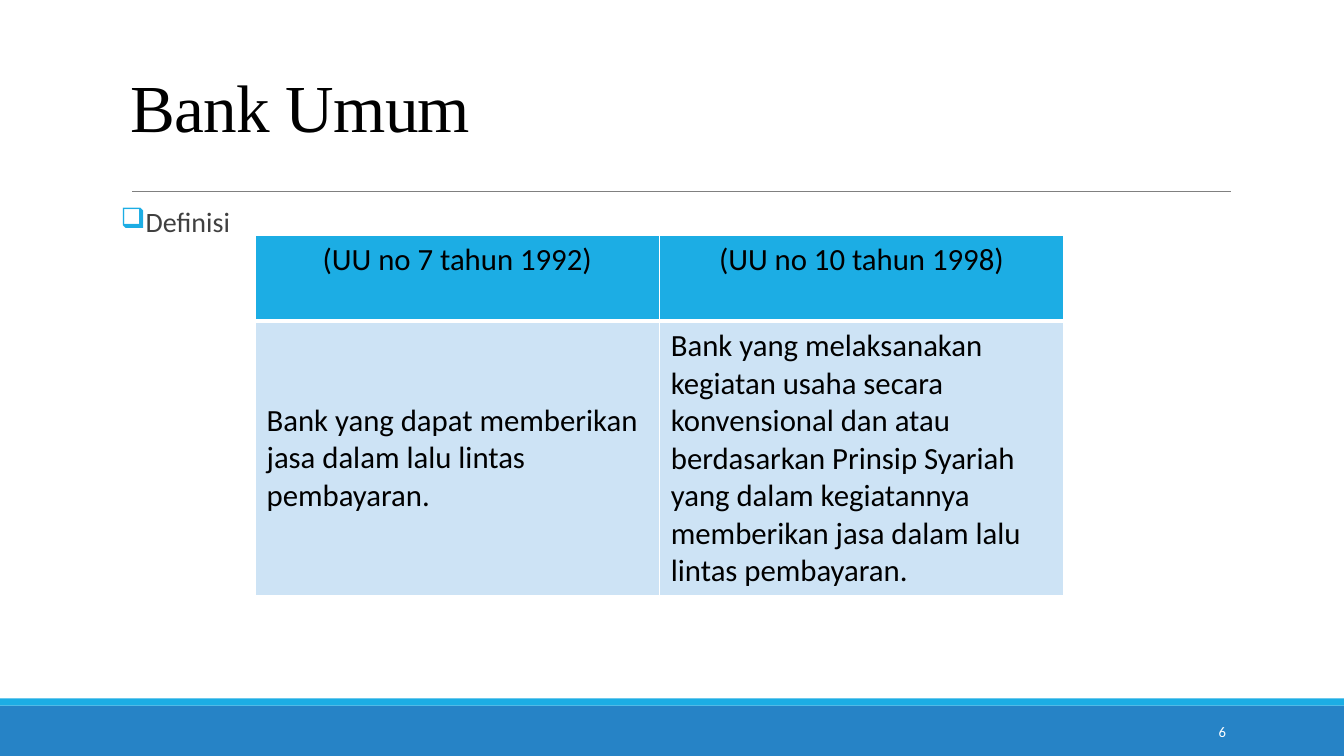
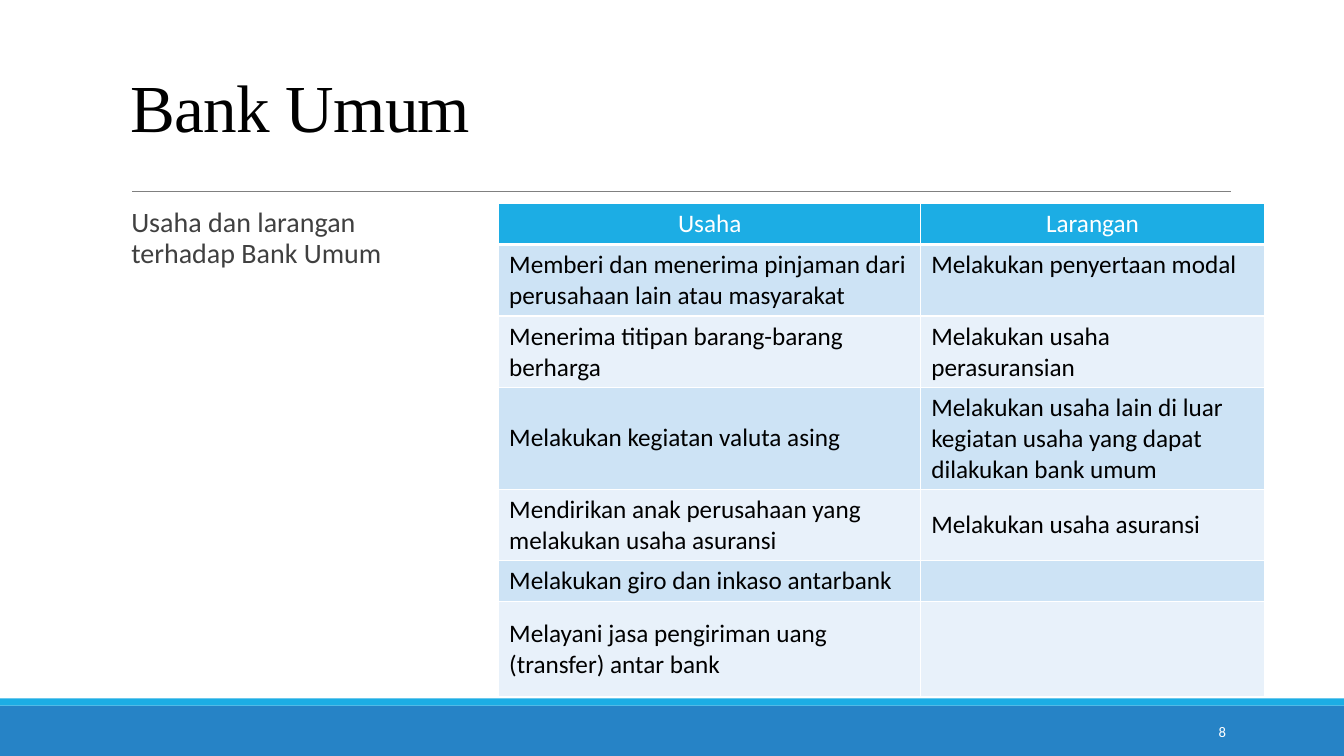
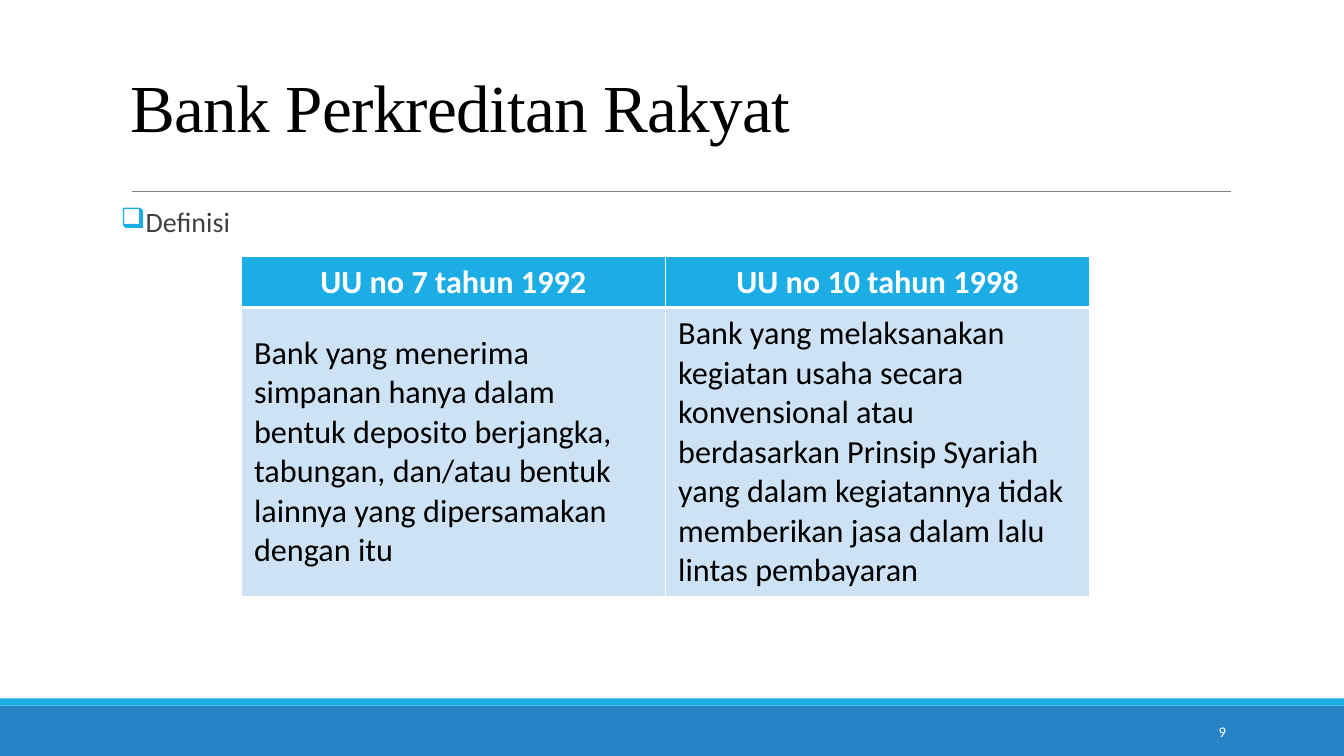
import lxml.etree
import pptx
import pptx.dml.color
import pptx.enum.shapes
import pptx.enum.text
import pptx.oxml.ns
import pptx.util

ALIGN = pptx.enum.text.PP_ALIGN
ANCHOR = pptx.enum.text.MSO_ANCHOR
Pt = pptx.util.Pt

# Shared style
SCALE = 9525  # EMU in one px
WIDE, HIGH = 1280, 720
LEFT, SPAN = 115, 1056
BLUE, SKY, PALE, LIGHT = "2683C6", "1CADE4", "CDE3F5", "E8F1FA"
WHITE, BLACK, DARK, GREY = "FFFFFF", "000000", "404040", "808080"
SERIF, SANS = "Times New Roman", "Calibri"


def px(count):
    return pptx.util.Emu(count * SCALE)


def shade(code):
    return pptx.dml.color.RGBColor.from_string(code)


def child(node, tag, **attrs):
    return lxml.etree.SubElement(node, pptx.oxml.ns.qn(tag), **attrs)


class Deck:
    def __init__(self):
        self.prs = pptx.Presentation()
        self.prs.slide_width, self.prs.slide_height = px(WIDE), px(HIGH)

    def page(self, title, number):
        """Start a slide with its bands, rule, title and number."""
        self.slide = self.prs.slides.add_slide(self.prs.slide_layouts[6])
        self.band(672, 48, BLUE)
        self.band(665, 7, SKY)
        self.rule(126, 1172, 182)
        line = self.text(title, (LEFT, 30, SPAN, 153), 48, BLACK, SERIF, ANCHOR.MIDDLE)
        line.line_spacing = 0.85
        line.runs[0].font._element.set("spc", "-50")
        foot = self.text(str(number), (1040, 678, 137, 38), 10.5, WHITE, SANS, ANCHOR.MIDDLE)
        foot.alignment = ALIGN.RIGHT

    def band(self, top, high, fill):
        kind = pptx.enum.shapes.MSO_SHAPE.RECTANGLE
        band = self.slide.shapes.add_shape(kind, 0, px(top), px(WIDE), px(high))
        band.shadow.inherit = False
        band.fill.solid()
        band.fill.fore_color.rgb = shade(fill)
        band.line.fill.background()

    def rule(self, start, end, top):
        kind = pptx.enum.shapes.MSO_CONNECTOR.STRAIGHT
        rule = self.slide.shapes.add_connector(kind, px(start), px(top), px(end), px(top))
        rule.line.color.rgb = shade(GREY)
        rule.line.width = Pt(0.5)
        child(rule._element.spPr, "a:effectLst")

    def style(self, line, size, tint, face=SANS, bold=False):
        for run in line.runs:
            font = run.font
            font.name, font.size, font.bold = face, Pt(size), bold
            font.color.rgb = shade(tint)

    def text(self, words, box, size, tint, face=SANS, anchor=ANCHOR.TOP):
        frame = self.slide.shapes.add_textbox(*map(px, box)).text_frame
        frame.word_wrap = True
        frame.vertical_anchor = anchor
        frame.text = words
        line = frame.paragraphs[0]
        self.style(line, size, tint, face)
        return line

    def body(self, words, wide=SPAN, mark=None):
        """Body text, with a hanging bullet if a mark is given."""
        line = self.text(words, (LEFT, 194, wide, 422), 20, DARK)
        frame = self.slide.shapes[-1].text_frame
        frame.margin_left = frame.margin_right = 0
        line.line_spacing = 0.9
        line.space_before, line.space_after = Pt(12), Pt(2)
        props = line._p.get_or_add_pPr()
        props.set("marL", str(px(10)))
        if mark:
            props.set("indent", str(px(-10)))
            child(child(props, "a:buClr"), "a:srgbClr", val=SKY)
            child(props, "a:buChar", char=mark)

    def edge(self, cell, head):
        """White cell borders, heavier below the header."""
        props = cell._tc.get_or_add_tcPr()
        for side in "LRTB":
            width = Pt(3 if head and side == "B" else 1)
            line = child(props, "a:ln" + side, w=str(width))
            child(child(line, "a:solidFill"), "a:srgbClr", val=WHITE)

    def table(self, left, top, cols, highs, rows, size, tint=WHITE,
              bold=False, pad=(10, 5), raised=()):
        """Table with a header row; cells in raised sit at the top."""
        grid = self.slide.shapes.add_table(
            len(rows), len(cols), px(left), px(top), px(sum(cols)), px(sum(highs))).table
        for col, wide in zip(grid.columns, cols):
            col.width = px(wide)
        for r, (high, words) in enumerate(zip(highs, rows)):
            grid.rows[r].height = px(high)
            head = r == 0
            for c, word in enumerate(words):
                cell = grid.cell(r, c)
                self.edge(cell, head)
                cell.fill.solid()
                cell.fill.fore_color.rgb = shade(SKY if head else PALE if r % 2 else LIGHT)
                cell.margin_left = cell.margin_right = px(pad[0])
                cell.margin_top = cell.margin_bottom = px(pad[1])
                cell.vertical_anchor = ANCHOR.TOP if (r, c) in raised else ANCHOR.MIDDLE
                cell.text_frame.text = word
                line = cell.text_frame.paragraphs[0]
                line.alignment = ALIGN.CENTER if head else ALIGN.LEFT
                self.style(line, size, tint if head else BLACK, bold=head and bold)


def main():
    deck = Deck()

    # Definition of a general bank
    deck.page("Bank Umum", 6)
    deck.body("Definisi", mark="❑")
    deck.table(243, 224, [385] * 2, [82, 261], [
        ("(UU no 7 tahun 1992)", "(UU no 10 tahun 1998)"),
        ("Bank yang dapat memberikan jasa dalam lalu lintas pembayaran.",
         "Bank yang melaksanakan kegiatan usaha secara konvensional dan atau "
         "berdasarkan Prinsip Syariah yang dalam kegiatannya memberikan jasa "
         "dalam lalu lintas pembayaran."),
    ], 22, BLACK, pad=(11, 6), raised=[(0, 0), (0, 1)])

    # Business and bans
    deck.page("Bank Umum", 8)
    deck.body("Usaha dan larangan terhadap Bank Umum", wide=324)
    deck.table(475, 194, [402, 327], [39, 68, 68, 97, 68, 39, 91], [
        ("Usaha", "Larangan"),
        ("Memberi dan menerima pinjaman dari perusahaan lain atau masyarakat",
         "Melakukan penyertaan modal"),
        ("Menerima titipan barang-barang berharga", "Melakukan usaha perasuransian"),
        ("Melakukan kegiatan valuta asing",
         "Melakukan usaha lain di luar kegiatan usaha yang dapat dilakukan bank umum"),
        ("Mendirikan anak perusahaan yang melakukan usaha asuransi",
         "Melakukan usaha asuransi"),
        ("Melakukan giro dan inkaso antarbank", ""),
        ("Melayani jasa pengiriman uang (transfer) antar bank", ""),
    ], 18, raised=[(1, 1)])

    # Definition of a rural bank
    deck.page("Bank Perkreditan Rakyat", 9)
    deck.body("Definisi", mark="❑")
    deck.table(230, 244, [404] * 2, [49, 275], [
        ("UU no 7 tahun 1992", "UU no 10 tahun 1998"),
        ("Bank yang menerima simpanan hanya dalam bentuk deposito berjangka, "
         "tabungan, dan/atau bentuk lainnya yang dipersamakan dengan itu",
         "Bank yang melaksanakan kegiatan usaha secara konvensional atau "
         "berdasarkan Prinsip Syariah yang dalam kegiatannya tidak memberikan "
         "jasa dalam lalu lintas pembayaran"),
    ], 23, bold=True, pad=(12, 6))

    deck.prs.save("out.pptx")


if __name__ == "__main__":
    main()
